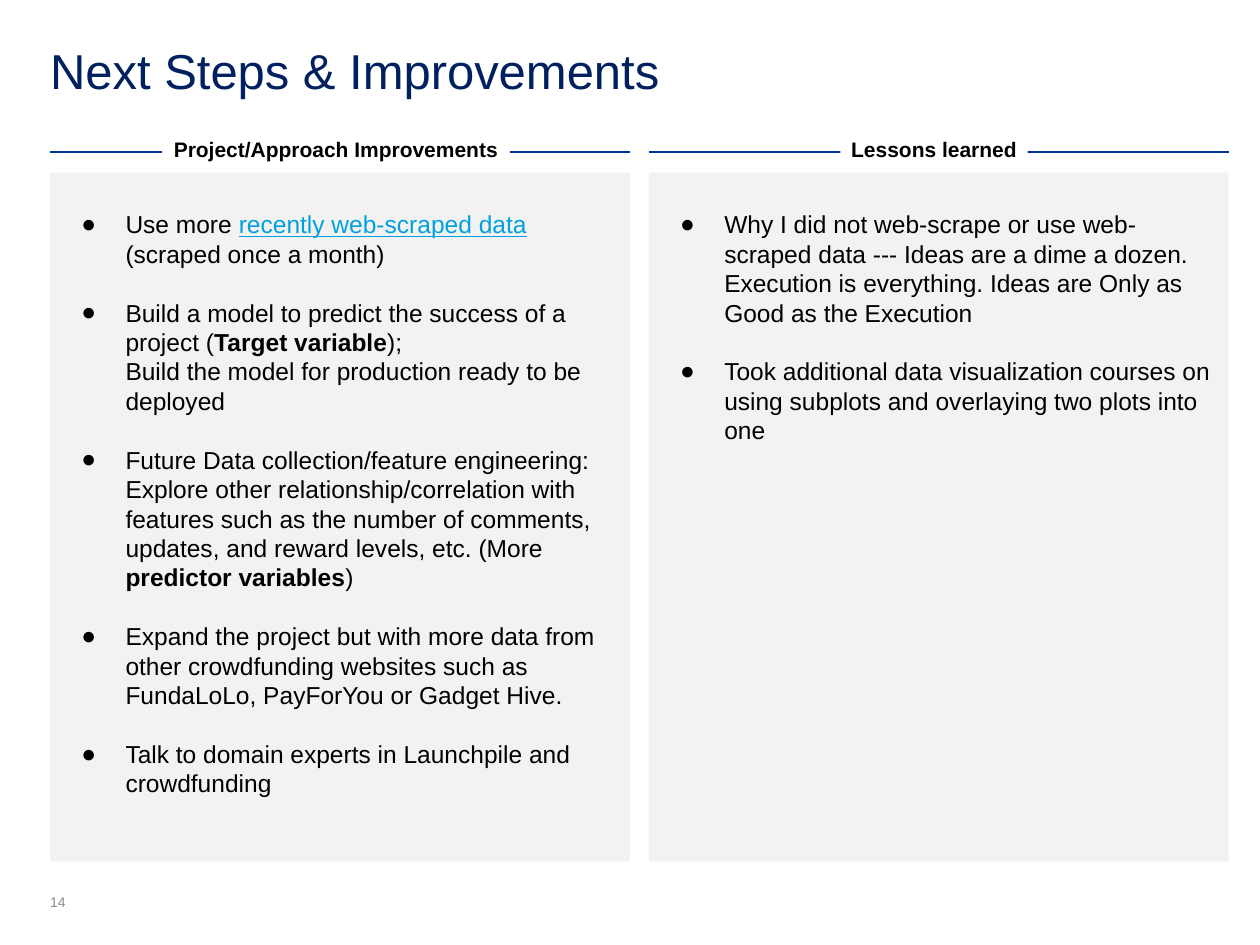
"""Build the slide on next steps and improvements."""
from dataclasses import dataclass

from lxml import etree
from pptx import Presentation
from pptx.dml.color import RGBColor
from pptx.enum.shapes import MSO_CONNECTOR, MSO_SHAPE
from pptx.enum.text import MSO_ANCHOR, MSO_AUTO_SIZE, PP_ALIGN
from pptx.oxml.ns import qn
from pptx.util import Cm, Pt

STRAIGHT = MSO_CONNECTOR.STRAIGHT
RECTANGLE = MSO_SHAPE.RECTANGLE
MIDDLE, BOTTOM, TOP = MSO_ANCHOR.MIDDLE, MSO_ANCHOR.BOTTOM, MSO_ANCHOR.TOP
LEFT, CENTER = PP_ALIGN.LEFT, PP_ALIGN.CENTER
NO_AUTOFIT = MSO_AUTO_SIZE.NONE

FONT = "Arial"
BLACK, WHITE, GRAY, PANEL_FILL = "000000", "FFFFFF", "8C8C8C", "F2F2F2"
NAVY, RULE_BLUE, LINK_BLUE = "002060", "003399", "00A1DE"

MARGIN = 1.01
COLUMN_WIDTH = 11.69
COLUMN_STEP = 12.07
PANEL_TOP, PANEL_HEIGHT = 3.48, 13.89
RULE_TOP = 3.07
LABEL_TOP, LABEL_HEIGHT = 2.79, 0.48
LIST_INDENT, BULLET_HANG = 1.27, 0.89


@dataclass
class Segment:
    """A stretch of equally formatted text."""

    text: str
    bold: bool = False
    linked: bool = False
    new_line: bool = False


@dataclass
class Column:
    """A headed panel with a bulleted list."""

    heading: str
    label_offset: float
    label_width: float
    items: list[list[Segment]]


COLUMNS = [
    Column("Project/Approach Improvements", 2.26, 7.01, [
        [Segment("Use more "),
         Segment("recently web-scraped data", linked=True),
         Segment(" (scraped once a month)")],
        [Segment("Build a model to predict the success of a project ("),
         Segment("Target variable", bold=True),
         Segment(");"),
         Segment("Build the model for production ready to be deployed", new_line=True)],
        [Segment("Future Data collection/feature engineering:"),
         Segment("Explore other relationship/correlation with features such as the "
                 "number of comments, updates, and reward levels, etc. (More ",
                 new_line=True),
         Segment("predictor variables", bold=True),
         Segment(")")],
        [Segment("Expand the project but with more data from other crowdfunding "
                 "websites such as FundaLoLo, PayForYou or Gadget Hive.")],
        [Segment("Talk to domain experts in Launchpile and crowdfunding")],
    ]),
    Column("Lessons learned", 3.86, 3.78, [
        [Segment("Why I did not web-scrape or use web-scraped data --- Ideas are a "
                 "dime a dozen. Execution is everything. Ideas are Only as Good as "
                 "the Execution")],
        [Segment("Took additional data visualization courses on using subplots and "
                 "overlaying two plots into one")],
    ]),
]


def color(value: str) -> RGBColor:
    """Return the colour for a hex string."""
    return RGBColor.from_string(value)


def place(shape, left: float, top: float, width: float, height: float) -> None:
    """Set position and size in centimetres."""
    shape.left, shape.top = Cm(left), Cm(top)
    shape.width, shape.height = Cm(width), Cm(height)


def format_frame(frame, anchor, horizontal: float = 0, top: float = 0) -> None:
    """Set margins, anchor and wrapping of a text frame."""
    frame.margin_left = frame.margin_right = Cm(horizontal)
    frame.margin_top, frame.margin_bottom = Cm(top), Cm(0)
    frame.vertical_anchor = anchor
    frame.auto_size = NO_AUTOFIT
    frame.word_wrap = True


def format_run(run, size: float, value: str, bold: bool = False) -> None:
    """Set the font of a run."""
    run.font.name, run.font.size, run.font.bold = FONT, Pt(size), bold
    run.font.color.rgb = color(value)


def set_text(frame, text: str, size: float, value: str, align=LEFT, bold: bool = False):
    """Write one formatted paragraph and return it."""
    frame.text = text
    paragraph = frame.paragraphs[0]
    paragraph.alignment = align
    format_run(paragraph.runs[0], size, value, bold)
    return paragraph


def add_bullet(paragraph) -> None:
    """Give a paragraph a round black bullet with a hanging indent."""
    properties = paragraph._p.get_or_add_pPr()
    properties.set("marL", str(Cm(LIST_INDENT)))
    properties.set("indent", str(-Cm(BULLET_HANG)))
    bullet_color = etree.SubElement(properties, qn("a:buClr"))
    etree.SubElement(bullet_color, qn("a:srgbClr"), val=BLACK)
    etree.SubElement(properties, qn("a:buFont"), typeface=FONT)
    etree.SubElement(properties, qn("a:buChar"), char="●")


def fill_list(frame, items: list[list[Segment]]) -> None:
    """Write the bulleted items into a text frame."""
    for index, segments in enumerate(items):
        paragraph = frame.add_paragraph() if index else frame.paragraphs[0]
        paragraph.alignment = LEFT
        paragraph.line_spacing = 1.0
        paragraph.space_before, paragraph.space_after = Pt(0), Pt(16.8)
        add_bullet(paragraph)
        for segment in segments:
            if segment.new_line:
                paragraph.add_line_break()
            run = paragraph.add_run()
            run.text = segment.text
            format_run(run, 14, LINK_BLUE if segment.linked else BLACK, segment.bold)
            run.font.underline = segment.linked


def draw_column(slide, panel, column: Column, left: float) -> None:
    """Draw a panel with its list, rule and heading."""
    place(panel, left, PANEL_TOP, COLUMN_WIDTH, PANEL_HEIGHT)
    panel.fill.solid()
    panel.fill.fore_color.rgb = color(PANEL_FILL)
    format_frame(panel.text_frame, TOP, 0.25, 0.74)
    fill_list(panel.text_frame, column.items)

    rule = slide.shapes.add_connector(
        STRAIGHT, Cm(left), Cm(RULE_TOP), Cm(left + COLUMN_WIDTH), Cm(RULE_TOP))
    rule.line.color.rgb = color(RULE_BLUE)
    rule.line.width = Pt(1)
    etree.SubElement(rule._element.spPr, qn("a:effectLst"))

    label = slide.shapes.add_shape(
        RECTANGLE, Cm(left + column.label_offset), Cm(LABEL_TOP),
        Cm(column.label_width), Cm(LABEL_HEIGHT))
    label.shadow.inherit = False
    label.fill.solid()
    label.fill.fore_color.rgb = color(WHITE)
    label.line.fill.background()
    format_frame(label.text_frame, MIDDLE, 0.2)
    heading = set_text(label.text_frame, column.heading, 12, BLACK, CENTER, True)
    heading.line_spacing = 0.95


def main() -> None:
    """Build and save the presentation."""
    presentation = Presentation()
    presentation.slide_width, presentation.slide_height = Cm(25.4), Cm(19.05)
    slide = presentation.slides.add_slide(presentation.slide_layouts[3])
    title, *panels = slide.placeholders

    place(title, MARGIN, 0.81, 23.37, 1.3)
    format_frame(title.text_frame, TOP)
    set_text(title.text_frame, "Next Steps & Improvements", 28, NAVY)

    for index, (panel, column) in enumerate(zip(panels, COLUMNS)):
        draw_column(slide, panel, column, MARGIN + index * COLUMN_STEP)

    page_number = slide.shapes.add_textbox(Cm(MARGIN), Cm(18.02), Cm(1.27), Cm(0.33))
    format_frame(page_number.text_frame, BOTTOM)
    set_text(page_number.text_frame, "14", 8, GRAY)
    presentation.save("out.pptx")


main()
